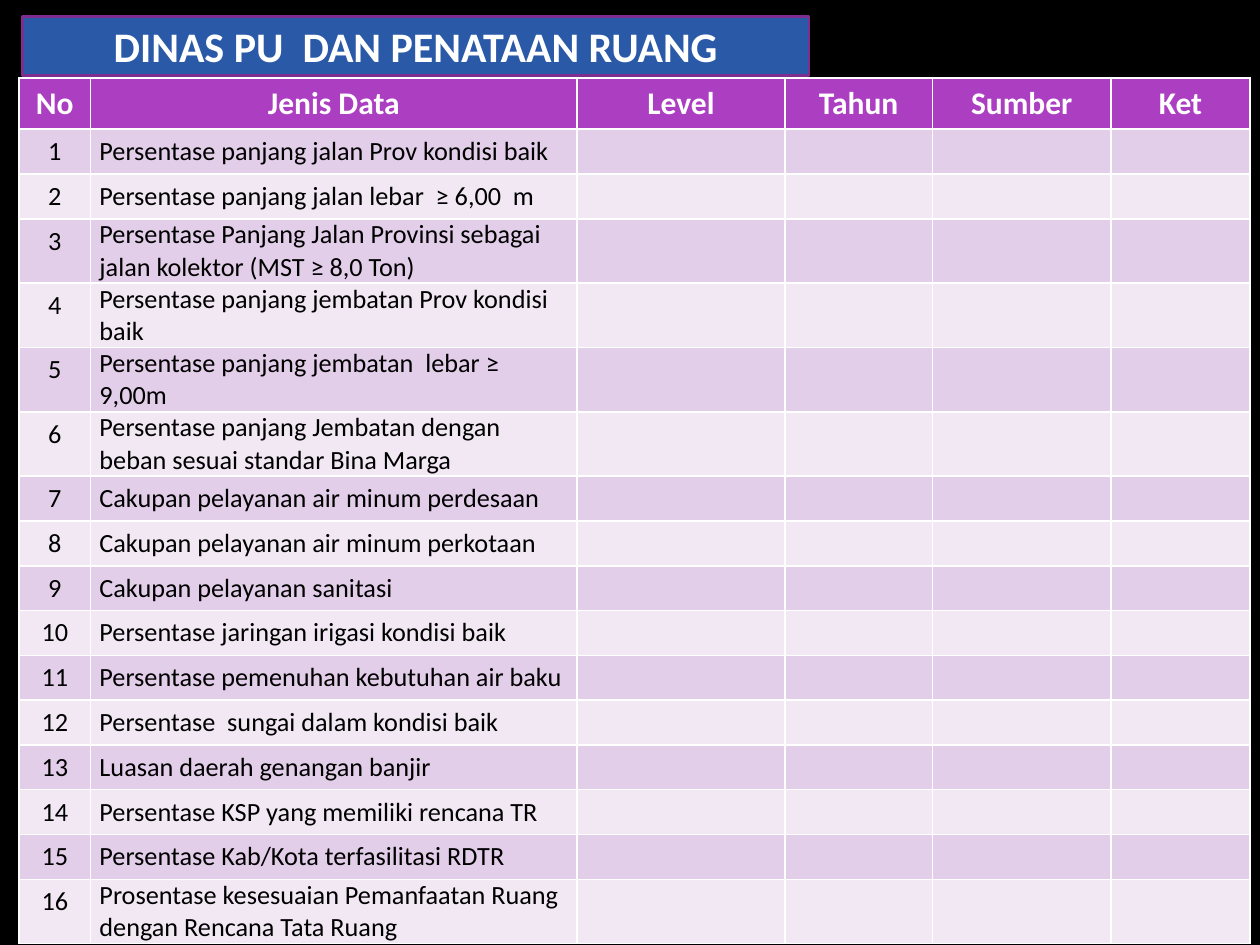
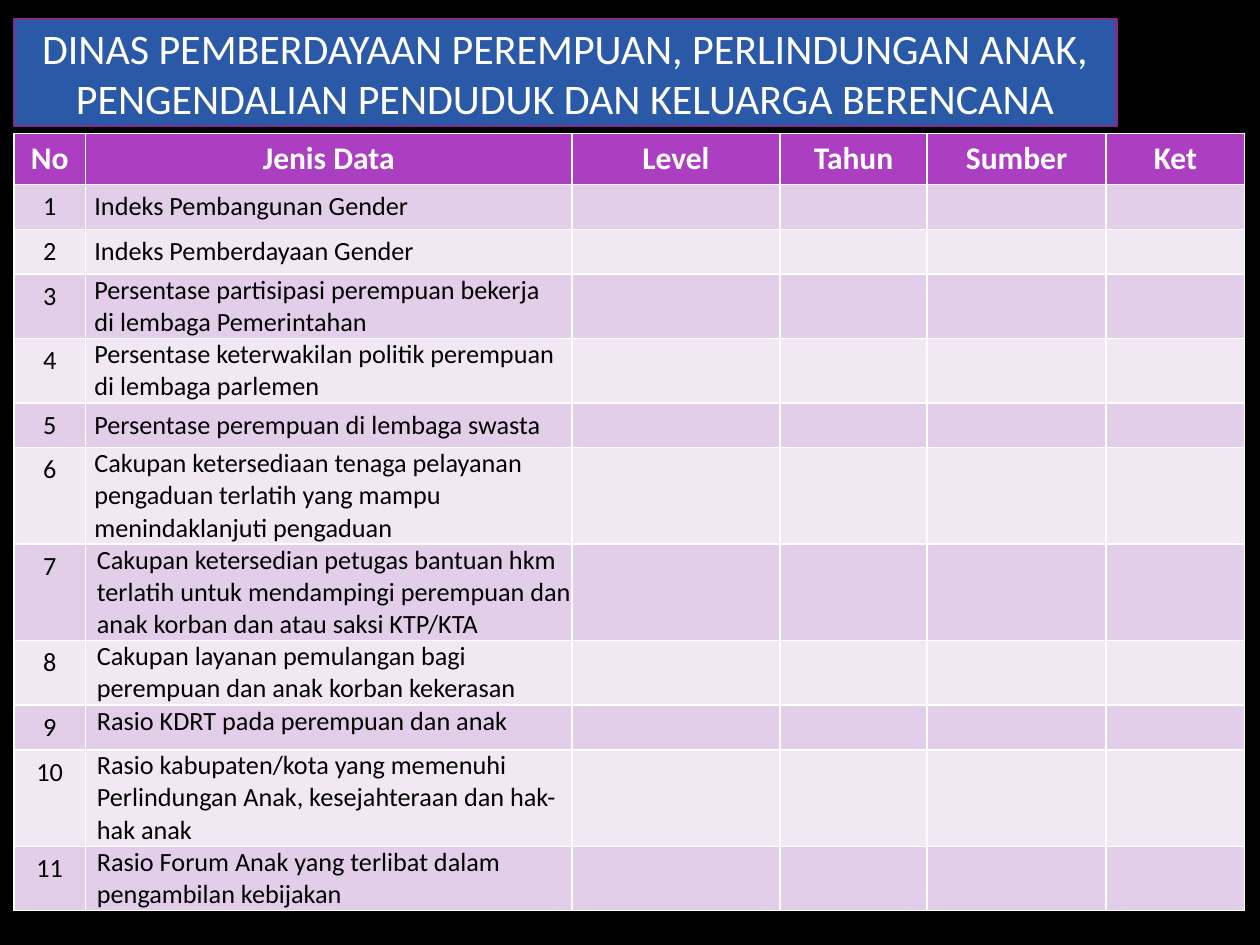
from lxml.etree import SubElement as Sub
from pptx import Presentation
from pptx.dml.color import RGBColor as RGB
from pptx.enum.text import MSO_ANCHOR as Anchor, MSO_AUTO_SIZE as Auto, PP_ALIGN as Align
from pptx.oxml.ns import qn
from pptx.util import Inches, Pt

BLACK = RGB(0x00, 0x00, 0x00)
WHITE = RGB(0xFF, 0xFF, 0xFF)
BLUE = RGB(0x2A, 0x59, 0xA8)
PLUM = RGB(0x7F, 0x2E, 0x8F)
PURPLE = RGB(0xAC, 0x3E, 0xC1)
BANDS = RGB(0xF1, 0xE8, 0xF4), RGB(0xE3, 0xCE, 0xE9)

HEADS = "No", "Jenis Data", "Level", "Tahun", "Sumber", "Ket"
WIDTHS = 0.57, 3.86, 1.65, 1.17, 1.42, 1.1
HEAD_ROW, BODY_ROW = 0.36, 0.33

TITLE = {"name": "Calibri", "size": Pt(24), "color": WHITE}
HEAD = {"name": "Calibri", "size": Pt(18), "color": WHITE, "bold": True}
BODY = {"name": "Calibri", "size": Pt(15), "color": BLACK, "bold": False}

SPACED = {
    "cell": {"vertical_anchor": Anchor.MIDDLE, "margin_left": Inches(0.07),
             "margin_right": Inches(0.07), "margin_top": 0, "margin_bottom": 0},
    "para": {"space_before": Pt(4.8), "space_after": Pt(4.8)},
}
TIGHT = {
    "cell": {"margin_left": Inches(0.09), "margin_right": 0,
             "margin_top": 0, "margin_bottom": 0},
    "para": {},
}

ROADS = [
    "Persentase panjang jalan Prov kondisi baik",
    "Persentase panjang jalan lebar  ≥ 6,00  m",
    "Persentase Panjang Jalan Provinsi sebagai jalan kolektor (MST ≥ 8,0 Ton)",
    "Persentase panjang jembatan Prov kondisi baik",
    "Persentase panjang jembatan  lebar ≥ 9,00m",
    "Persentase panjang Jembatan dengan beban sesuai standar Bina Marga",
    "Cakupan pelayanan air minum perdesaan",
    "Cakupan pelayanan air minum perkotaan",
    "Cakupan pelayanan sanitasi",
    "Persentase jaringan irigasi kondisi baik",
    "Persentase pemenuhan kebutuhan air baku",
    "Persentase  sungai dalam kondisi baik",
    "Luasan daerah genangan banjir",
    "Persentase KSP yang memiliki rencana TR",
    "Persentase Kab/Kota terfasilitasi RDTR",
    "Prosentase kesesuaian Pemanfaatan Ruang dengan Rencana Tata Ruang",
]
GENDER = [
    "Indeks Pembangunan Gender",
    "Indeks Pemberdayaan Gender",
    "Persentase partisipasi perempuan bekerja di lembaga Pemerintahan",
    "Persentase keterwakilan politik perempuan di lembaga parlemen",
    "Persentase perempuan di lembaga swasta",
    "Cakupan ketersediaan tenaga pelayanan pengaduan terlatih yang mampu  "
    "menindaklanjuti pengaduan",
]
RIGHTS = [
    "Cakupan ketersedian petugas bantuan hkm terlatih untuk mendampingi "
    "perempuan dan anak korban dan atau saksi KTP/KTA",
    "Cakupan layanan pemulangan bagi perempuan dan anak korban kekerasan",
    "Rasio KDRT pada perempuan dan anak",
    "Rasio kabupaten/kota yang memenuhi Perlindungan Anak, kesejahteraan "
    "dan hak-hak anak",
    "Rasio Forum Anak yang terlibat dalam pengambilan kebijakan",
]


def apply(item, values):
    """Set each named attribute of an item."""
    for name, value in values.items():
        setattr(item, name, value)


class Deck:
    """Holds the deck style and the current slide."""

    def __init__(self):
        """Start an empty deck."""
        self.prs = Presentation()
        apply(self.prs, {"slide_width": Inches(10), "slide_height": Inches(7.5)})

    def page(self):
        """Add a black slide with a title."""
        self.slide = self.prs.slides.add_slide(self.prs.slide_layouts[5])
        fill = self.slide.background.fill
        fill.solid()
        fill.fore_color.rgb = BLACK

    def label(self, para, text, style, align):
        """Put one styled run into a paragraph."""
        para.alignment = align
        run = para.add_run()
        run.text = text
        for name, value in style.items():
            if name == "color":
                run.font.color.rgb = value
            else:
                setattr(run.font, name, value)

    def title(self, text, left, top, width, height, bold=False):
        """Shape the title as a rounded banner."""
        box = self.slide.shapes.title
        apply(box, {"left": Inches(left), "top": Inches(top),
                    "width": Inches(width), "height": Inches(height)})
        geom = Sub(box._element.spPr, qn("a:prstGeom"), prst="roundRect")
        Sub(geom, qn("a:avLst"))
        box.fill.solid()
        box.fill.fore_color.rgb = BLUE
        box.line.color.rgb = PLUM
        box.line.width = Pt(1.5)
        frame = box.text_frame
        apply(frame, {"word_wrap": True, "auto_size": Auto.NONE,
                      "vertical_anchor": Anchor.MIDDLE})
        self.label(frame.paragraphs[0], text, {**TITLE, "bold": bold}, Align.CENTER)

    def cell(self, cell, text, fill, style, align=Align.CENTER, form=None):
        """Fill one table cell and set its text."""
        cell.fill.solid()
        cell.fill.fore_color.rgb = fill
        para = cell.text_frame.paragraphs[0]
        if form:
            apply(cell, form["cell"])
            apply(para, form["para"])
        if text:
            self.label(para, text, style, align)
        else:
            Sub(para._p, qn("a:endParaRPr"), sz=str(int(style["size"].pt * 100)))

    def table(self, left, top, height, items):
        """Add a numbered table from pairs of text and cell form."""
        frame = self.slide.shapes.add_table(
            len(items) + 1, len(HEADS), Inches(left), Inches(top),
            Inches(sum(WIDTHS)), Inches(height))
        grid = frame.table
        for col, width in zip(grid.columns, WIDTHS):
            col.width = Inches(width)
        for row in grid.rows:
            row.height = Inches(BODY_ROW)
        grid.rows[0].height = Inches(HEAD_ROW)
        frame.height = Inches(height)
        for col, head in enumerate(HEADS):
            self.cell(grid.cell(0, col), head, PURPLE, HEAD)
        for row, (text, form) in enumerate(items, 1):
            band = BANDS[row % 2]
            self.cell(grid.cell(row, 0), str(row), band, BODY)
            self.cell(grid.cell(row, 1), text, band, BODY, Align.LEFT, form)
            for col in range(2, len(HEADS)):
                self.cell(grid.cell(row, col), "", band, BODY)


def main():
    """Build both slides and save the deck."""
    deck = Deck()
    deck.page()
    deck.title("DINAS PU  DAN PENATAAN RUANG", 0.18, 0.13, 6.24, 0.47, bold=True)
    deck.table(0.15, 0.62, 6.75, [(text, SPACED) for text in ROADS])
    deck.page()
    deck.title("DINAS PEMBERDAYAAN PEREMPUAN, PERLINDUNGAN ANAK, "
               "PENGENDALIAN PENDUDUK DAN KELUARGA BERENCANA", 0.11, 0.15, 8.75, 0.85)
    deck.table(0.11, 1.06, 6.05, [(text, SPACED) for text in GENDER]
               + [(text, TIGHT) for text in RIGHTS])
    deck.prs.save("out.pptx")


if __name__ == "__main__":
    main()
